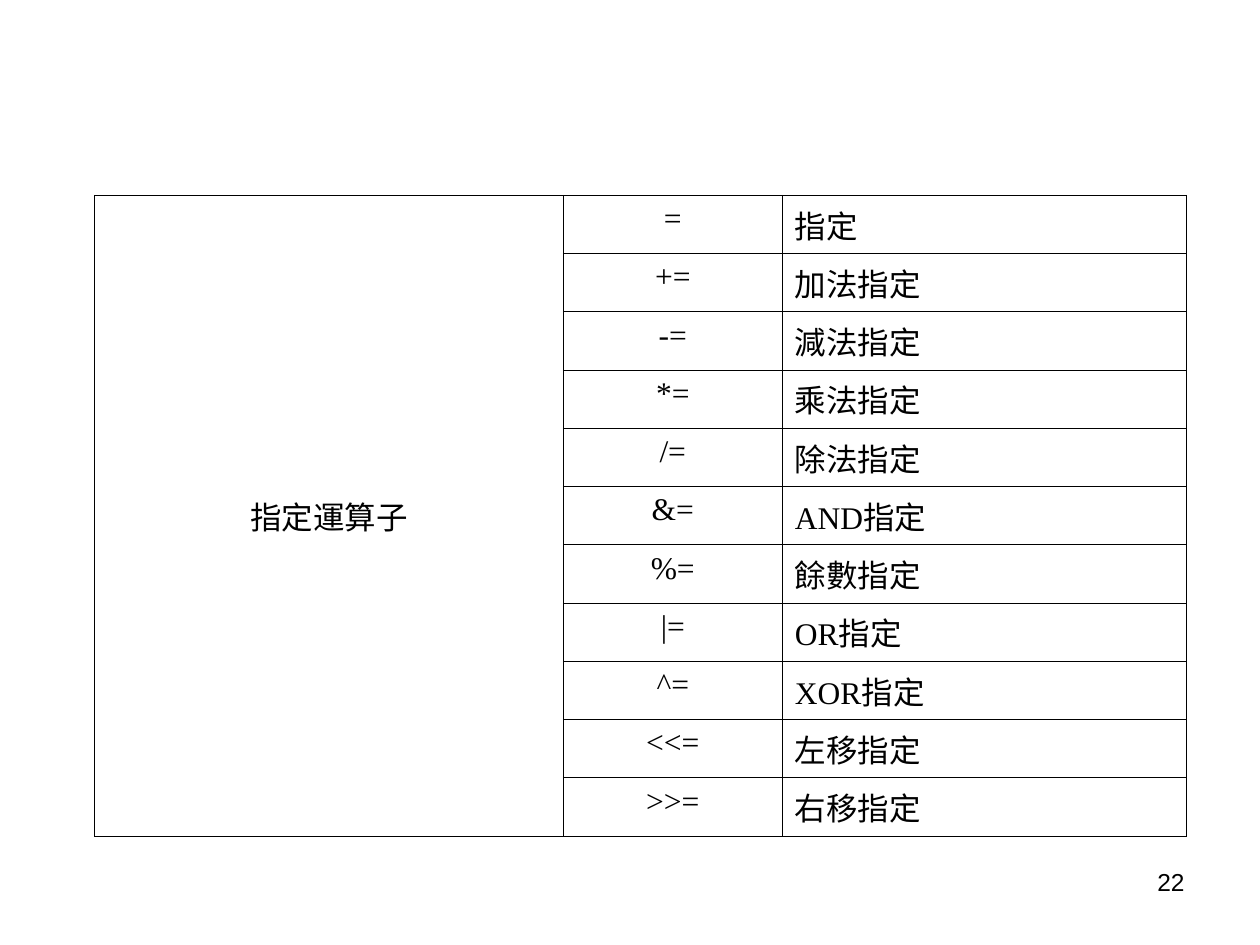
"""Build a slide with a table of assignment operators."""
from typing import NamedTuple

from lxml.etree import SubElement
from pptx import Presentation
from pptx.dml.color import RGBColor
from pptx.enum.text import MSO_ANCHOR as Anchor, PP_ALIGN as Align
from pptx.oxml.ns import qn
from pptx.util import Inches, Pt

COLORS = {"text": "000000", "border": "000000", "paper": "FFFFFF"}
COLUMN_WIDTHS = (3.72, 1.74, 3.21)
ROW_HEIGHT = 0.44
BORDER_WIDTH = 0.45


class Operator(NamedTuple):
    symbol: str
    meaning: str


OPERATORS = (
    Operator("=", "指定"),
    Operator("+=", "加法指定"),
    Operator("-=", "減法指定"),
    Operator("*=", "乘法指定"),
    Operator("/=", "除法指定"),
    Operator("&=", "AND指定"),
    Operator("%=", "餘數指定"),
    Operator("|=", "OR指定"),
    Operator("^=", "XOR指定"),
    Operator("<<=", "左移指定"),
    Operator(">>=", "右移指定"),
)


def write(frame, text: str, font_name: str, size: int, align) -> None:
    """Put one formatted paragraph into a text frame."""
    frame.text = text
    para = frame.paragraphs[0]
    para.alignment = align
    for span in para.runs:
        span.font.name = font_name
        span.font.size = Pt(size)
        span.font.color.rgb = RGBColor.from_string(COLORS["text"])


def style_cell(cell) -> None:
    """Give a cell thin borders on every side and a plain fill."""
    properties = cell._tc.get_or_add_tcPr()
    for side in ("lnL", "lnR", "lnT", "lnB"):
        line = SubElement(properties, qn(f"a:{side}"), w=str(Pt(BORDER_WIDTH)))
        fill = SubElement(line, qn("a:solidFill"))
        SubElement(fill, qn("a:srgbClr"), val=COLORS["border"])
    cell.fill.solid()
    cell.fill.fore_color.rgb = RGBColor.from_string(COLORS["paper"])


def add_operator_table(page) -> None:
    """Draw the operators beside one merged category cell."""
    count = len(OPERATORS)
    table = page.shapes.add_table(
        count, len(COLUMN_WIDTHS), Inches(0.75), Inches(1.55),
        Inches(sum(COLUMN_WIDTHS)), Inches(ROW_HEIGHT * count)).table
    for column, width in zip(table.columns, COLUMN_WIDTHS):
        column.width = Inches(width)
    for row in table.rows:
        row.height = Inches(ROW_HEIGHT)
    for cell in table.iter_cells():
        style_cell(cell)
    category = table.cell(0, 0)
    category.merge(table.cell(count - 1, 0))
    category.vertical_anchor = Anchor.MIDDLE
    write(category.text_frame, "指定運算子", "Times New Roman", 18, Align.CENTER)
    for index, operator in enumerate(OPERATORS):
        for column, (text, align) in enumerate(zip(operator, (Align.CENTER, Align.LEFT)), 1):
            write(table.cell(index, column).text_frame, text, "Times New Roman", 18, align)


def add_page_number(page, number: str) -> None:
    """Write the page number at the lower right."""
    box = page.shapes.add_textbox(Inches(7.17), Inches(6.83), Inches(2.33), Inches(0.52))
    box.text_frame.word_wrap = True
    write(box.text_frame, number, "Arial", 14, Align.RIGHT)


def main() -> None:
    """Build and save the deck."""
    deck = Presentation()
    deck.slide_width, deck.slide_height = Inches(10), Inches(7.5)
    page = deck.slides.add_slide(deck.slide_layouts[6])
    add_operator_table(page)
    add_page_number(page, "22")
    deck.save("out.pptx")


if __name__ == "__main__":
    main()
